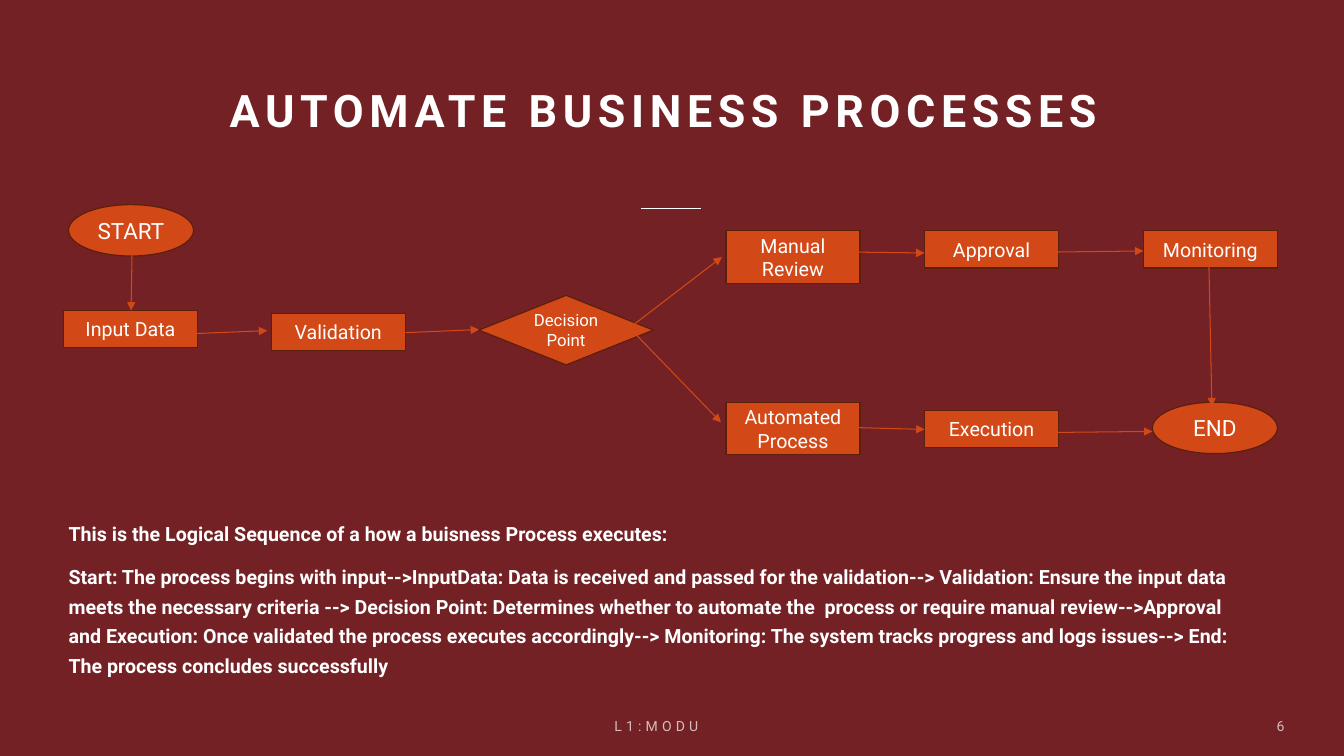
"""Build the business process automation slide with its flowchart."""
from lxml.etree import SubElement
from pptx import Presentation
from pptx.dml.color import RGBColor
from pptx.enum.shapes import MSO_CONNECTOR, MSO_SHAPE
from pptx.enum.text import MSO_ANCHOR, PP_ALIGN
from pptx.oxml.ns import qn
from pptx.util import Pt

PX = 9144
FONT = "Roboto"
COLORS = {
    "back": "732124",
    "node": "D34817",
    "edge": "5C200A",
    "text": "FFFFFF",
    "muted": "D5BCBD",
}

TITLE = "AUTOMATE BUSINESS PROCESSES "
FOOTER = "L1:MODU"
NUMBER = "6"
BODY = [
    "This is the Logical Sequence of a how a buisness Process executes:",
    "Start: The process begins with input-->InputData: Data is received and passed for "
    "the validation--> Validation: Ensure the input data meets the necessary criteria --> "
    "Decision Point: Determines whether to automate the  process or require manual "
    "review-->Approval and Execution: Once validated the process executes accordingly--> "
    "Monitoring: The system tracks progress and logs issues--> End: The process concludes "
    "successfully",
]

KINDS = {
    "step": (MSO_SHAPE.RECTANGLE, 133, 37, 14),
    "tall": (MSO_SHAPE.RECTANGLE, 133, 52, 14),
    "end": (MSO_SHAPE.OVAL, 124, 51, 16),
    "choice": (MSO_SHAPE.FLOWCHART_DECISION, 173, 69, 12),
}
NODES = [
    ("START", "end", 68, 203),
    ("Input Data", "step", 63, 308),
    ("Validation", "step", 269, 311),
    ("Decision Point", "choice", 475, 293),
    ("Manual Review", "tall", 720, 229),
    ("Approval", "step", 917, 229),
    ("Monitoring", "step", 1134, 229),
    ("Automated Process", "tall", 720, 399),
    ("Execution", "step", 917, 407),
    ("END", "end", 1143, 399),
]
ARROWS = [
    (131, 251, 130, 308),
    (192, 331, 265, 328),
    (402, 330, 475, 327),
    (626, 324, 716, 255),
    (626, 327, 715, 419),
    (841, 250, 917, 251),
    (1049, 250, 1134, 249),
    (1199, 261, 1202, 403),
    (841, 424, 917, 426),
    (1049, 429, 1143, 428),
]
TITLE_RULE = (636, 207, 695, 207)


def rgb(name):
    return RGBColor.from_string(COLORS[name])


def write(tf, lines, size, align, anchor, color="text", bold=False, spacing=0):
    tf.word_wrap = True
    tf.vertical_anchor = anchor
    for i, line in enumerate(lines):
        p = tf.paragraphs[0] if i == 0 else tf.add_paragraph()
        p.alignment = align
        r = p.add_run()
        r.text = line
        font = p.font
        font.name, font.size, font.bold = FONT, Pt(size), bold
        font.color.rgb = rgb(color)
        if spacing:
            r.font._element.set("spc", str(spacing * 100))


def add_text(s, box, lines, size, align, anchor, **style):
    tf = s.shapes.add_textbox(*(v * PX for v in box)).text_frame
    tf.margin_left = tf.margin_right = tf.margin_top = tf.margin_bottom = 0
    write(tf, lines, size, align, anchor, **style)
    return tf


def add_node(s, label, kind, x, y):
    preset, w, h, size = KINDS[kind]
    sp = s.shapes.add_shape(preset, x * PX, y * PX, w * PX, h * PX)
    sp.shadow.inherit = False
    sp.fill.solid()
    sp.fill.fore_color.rgb = rgb("node")
    sp.line.color.rgb = rgb("edge")
    sp.line.width = Pt(0.85)
    write(sp.text_frame, [label], size, PP_ALIGN.CENTER, MSO_ANCHOR.MIDDLE)


def add_line(s, ends, color, width, arrow=False):
    c = s.shapes.add_connector(MSO_CONNECTOR.STRAIGHT, *(v * PX for v in ends))
    c.line.color.rgb = rgb(color)
    c.line.width = Pt(width)
    if arrow:
        SubElement(c.line._get_or_add_ln(), qn("a:tailEnd")).set("type", "triangle")
    SubElement(c._element.spPr, qn("a:effectLst"))


def main():
    prs = Presentation()
    prs.slide_width, prs.slide_height = 1333 * PX, 750 * PX
    s = prs.slides.add_slide(prs.slide_layouts[6])
    s.background.fill.solid()
    s.background.fill.fore_color.rgb = rgb("back")

    add_line(s, TITLE_RULE, "text", 1)
    add_text(s, (118, 35, 1097, 100), [TITLE], 32, PP_ALIGN.CENTER,
             MSO_ANCHOR.BOTTOM, bold=True, spacing=4)
    add_text(s, (1033, 700, 241, 40), [NUMBER], 10, PP_ALIGN.RIGHT,
             MSO_ANCHOR.MIDDLE, color="muted", spacing=3)
    add_text(s, (346, 700, 610, 40), [FOOTER], 10, PP_ALIGN.CENTER,
             MSO_ANCHOR.MIDDLE, color="muted", spacing=3)
    for node in NODES:
        add_node(s, *node)
    for ends in ARROWS:
        add_line(s, ends, "node", 0.75, arrow=True)

    tf = add_text(s, (68, 512, 1179, 180), BODY, 14, PP_ALIGN.LEFT,
                  MSO_ANCHOR.TOP, bold=True)
    for p in tf.paragraphs:
        p.line_spacing = 1.25
        p.space_before = Pt(10)
    prs.save("out.pptx")


if __name__ == "__main__":
    main()
